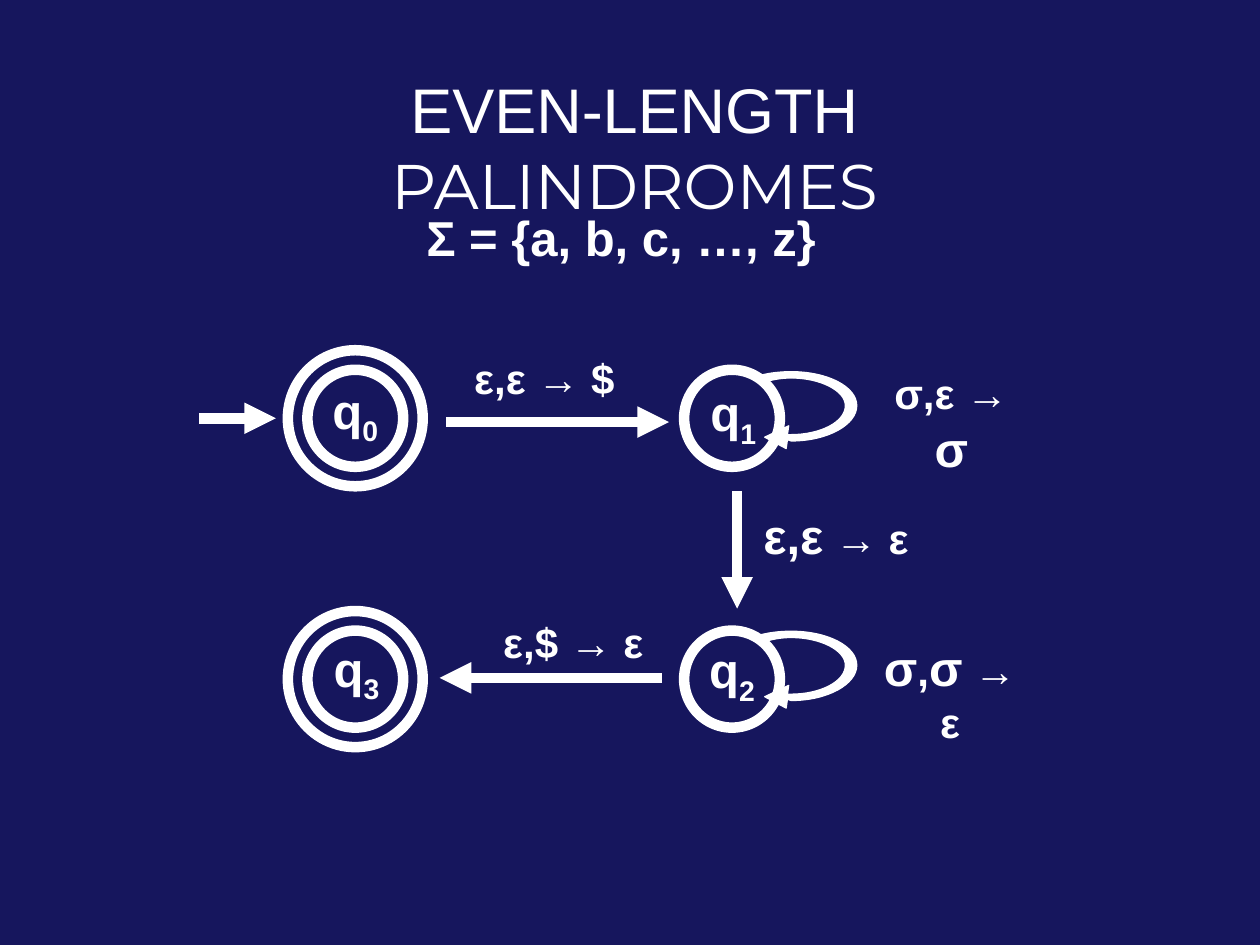
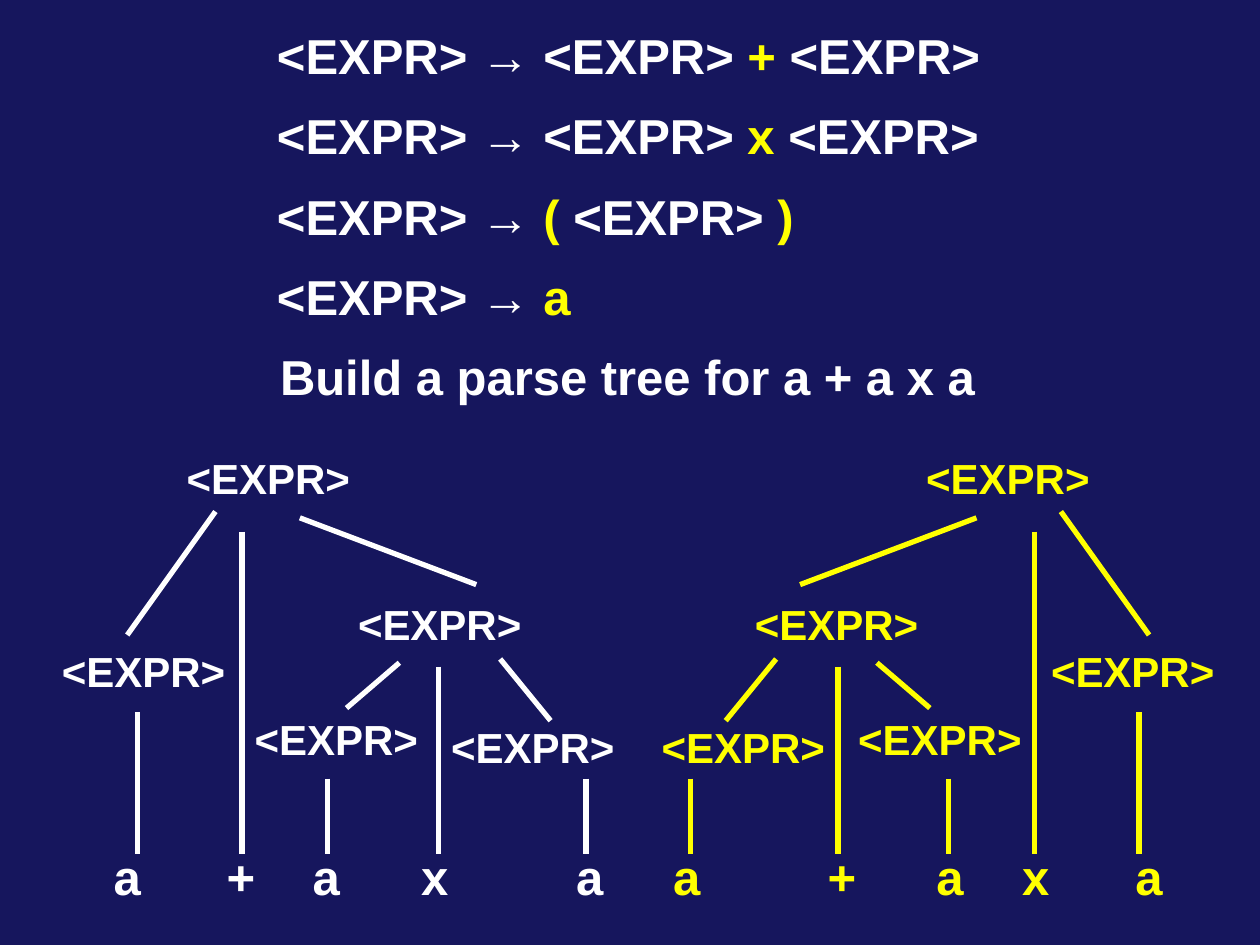
from lxml.etree import SubElement
from pptx import Presentation
from pptx.dml.color import RGBColor
from pptx.enum.shapes import MSO_CONNECTOR, MSO_SHAPE
from pptx.enum.text import MSO_AUTO_SIZE, PP_ALIGN
from pptx.oxml.ns import qn
from pptx.util import Inches, Pt

NAVY = RGBColor(0x16, 0x16, 0x5D)
WHITE = RGBColor(0xFF, 0xFF, 0xFF)
YELLOW = RGBColor(0xFF, 0xFF, 0x00)
FONT = "Arial"
TITLE_FONT = "Montserrat"

LOOP_POINTS = [
    (-0.03, 0.23),
    (-0.02, 0.23), (-0.01, 0.23), (0, 0.23),
    (0.23, 0.23), (0.43, 0.13), (0.43, 0),
    (0.43, -0.12), (0.23, -0.22), (0, -0.22),
    (-0.07, -0.22), (-0.14, -0.21), (-0.2, -0.19),
    (-0.25, -0.24),
    (-0.17, -0.26), (-0.09, -0.27), (0, -0.27),
    (0.29, -0.27), (0.52, -0.15), (0.52, 0),
    (0.52, 0.15), (0.29, 0.28), (0, 0.28),
    (-0.01, 0.28), (-0.02, 0.28), (-0.03, 0.27),
    (-0.04, 0.34), (-0.21, 0.25), (-0.02, 0.16),
]
LOOP_CURVE_STARTS = [0, 3, 6, 9, 13, 16, 19, 22]

TREE_WIDTH = 4.58
TREE_NODES = [(1.73, 0), (0.74, 1.53), (3.09, 1.16), (2.27, 2.07), (3.83, 2.14)]
TREE_LEAVES = [0.61, 1.51, 2.19, 3.05, 4.28]
LEAF_TOP = 3.13
BRANCH_END = 3.24
TREE_BRANCHES = [
    (1.31, 0.52, 0.61, 1.5),
    (1.98, 0.57, 3.38, 1.1),
    (2.77, 1.72, 2.35, 2.08),
    (3.57, 1.69, 3.97, 2.18),
]
TREE_STEMS = [(0.69, 2.11), (1.52, 0.68), (2.2, 2.64), (3.08, 1.75), (4.25, 2.64)]


def add_page(deck):
    page = deck.slides.add_slide(deck.slide_layouts[6])
    page.background.fill.solid()
    page.background.fill.fore_color.rgb = NAVY
    return page


def add_text(shapes, left, top, width, spans, size=28, color=WHITE,
             align=PP_ALIGN.CENTER, bold=True):
    height = size / 50
    box = shapes.add_textbox(Inches(left), Inches(top), Inches(width), Inches(height))
    frame = box.text_frame
    frame.word_wrap = False
    frame.auto_size = MSO_AUTO_SIZE.SHAPE_TO_FIT_TEXT
    para = frame.paragraphs[0]
    para.alignment = align
    para.font.name = FONT
    para.font.size = Pt(size)
    para.font.bold = bold
    para.font.color.rgb = color
    for text, changes in spans:
        span = para.add_run()
        span.text = text
        if "size" in changes:
            span.font.size = Pt(changes["size"])
        if "color" in changes:
            span.font.color.rgb = changes["color"]
        if "font" in changes:
            span.font.name = changes["font"]
        if "baseline" in changes:
            span._r.get_or_add_rPr().set("baseline", changes["baseline"])


def add_line(shapes, x1, y1, x2, y2, color=WHITE, weight=3, arrow=False):
    line = shapes.add_connector(
        MSO_CONNECTOR.STRAIGHT, Inches(x1), Inches(y1), Inches(x2), Inches(y2))
    line.line.color.rgb = color
    line.line.width = Pt(weight)
    if arrow:
        SubElement(line.line._get_or_add_ln(), qn("a:tailEnd"), type="triangle")
    SubElement(line._element.spPr, qn("a:effectLst"))


def add_ring(shapes, x, y, width):
    height = width + 0.01
    ring = shapes.add_shape(
        MSO_SHAPE.OVAL, Inches(x - width / 2), Inches(y - height / 2),
        Inches(width), Inches(height))
    ring.shadow.inherit = False
    ring.fill.background()
    ring.line.color.rgb = WHITE
    ring.line.width = Pt(6)


def add_state(page, x, y, final):
    shapes = page.shapes.add_group_shape().shapes if final else page.shapes
    add_ring(shapes, x, y, 0.76)
    if final:
        add_ring(shapes, x, y, 1.07)


def add_loop(page, x, y):
    points = [(Inches(x + dx), Inches(y + dy)) for dx, dy in LOOP_POINTS]
    builder = page.shapes.build_freeform(*points[0], scale=1.0)
    builder.add_line_segments(points[1:], close=True)
    loop = builder.convert_to_shape()
    loop.shadow.inherit = False
    loop.fill.solid()
    loop.fill.fore_color.rgb = WHITE
    loop.line.color.rgb = WHITE
    loop.line.width = Pt(0.75)
    outline = loop._element.find(".//" + qn("a:path"))
    segments = outline.findall(qn("a:lnTo"))
    for start in LOOP_CURVE_STARTS:
        curve = outline.makeelement(qn("a:cubicBezTo"))
        segments[start].addprevious(curve)
        for segment in segments[start:start + 3]:
            curve.append(segment[0])
            outline.remove(segment)


def add_automaton(page, left, top):
    right = left + 2.99
    bottom = top + 2.07
    for x, y, final, number, label_left, label_top in [
        (left, top, True, "0", -0.28, -0.35),
        (right, top, False, "1", -0.27, -0.33),
        (right, bottom, False, "2", -0.28, -0.36),
        (left, bottom, True, "3", -0.27, -0.37),
    ]:
        add_state(page, x, y, final)
        add_text(page.shapes, x + label_left, y + label_top, 0.56,
                 [("q", {}), (number, {"baseline": "-25000"})])
    add_loop(page, right + 0.47, top - 0.1)
    add_loop(page, right + 0.47, bottom - 0.11)
    for x1, y1, x2, y2 in [
        (left - 1.24, top, left - 0.63, top),
        (left + 0.72, top + 0.03, left + 2.49, top + 0.03),
        (right + 0.04, top + 0.58, right + 0.04, top + 1.51),
        (left + 2.43, bottom - 0.01, left + 0.67, bottom - 0.01),
    ]:
        add_line(page.shapes, x1, y1, x2, y2, weight=6, arrow=True)

    large = {"size": 28}
    add_text(page.shapes, left + 0.84, top - 0.57, 1.32, [("ε,ε → $", {})], 24)
    add_text(page.shapes, left + 1.07, bottom - 0.55, 1.32, [("ε,$ → ε", {})], 24)
    add_text(page.shapes, right + 0.15, top + 0.64, 1.35,
             [("ε,ε", large), (" → ε", {})], 24)
    add_text(page.shapes, right + 1.09, top - 0.45, 1.3,
             [("σ,ε → ", {}), ("σ", large)], 24)
    add_text(page.shapes, right + 1.08, bottom - 0.38, 1.3,
             [("σ", large), (",", {}), ("σ", large), (" → ε", {})], 24)


def add_palindrome_page(deck):
    page = add_page(deck)
    add_text(page.shapes, 1.34, 0.51, 7.39,
             [("EVEN-LENGTH", {}), (" PALINDROMES", {"font": TITLE_FONT})],
             36, bold=False)
    add_text(page.shapes, 3.28, 1.6, 3.3, [("Σ = {a, b, c, …, z}", {})])
    add_automaton(page, 2.82, 3.32)


def add_grammar(page, left, top):
    terminal = {"color": YELLOW}
    rules = [
        (5.8, [("<EXPR> ", {}), ("+", terminal), (" <EXPR>", {})]),
        (5.8, [("<EXPR> ", {}), ("x", terminal), (" <EXPR>", {})]),
        (4.3, [("(", terminal), (" <EXPR> ", {}), (")", terminal)]),
        (2.53, [("a", terminal)]),
    ]
    for row, (width, body) in enumerate(rules):
        add_text(page.shapes, left, top + row * 0.64, width,
                 [("<EXPR> → ", {})] + body, align=PP_ALIGN.LEFT)


def add_parse_tree(page, left, top, color, leaves, mirrored=False):
    shapes = page.shapes.add_group_shape().shapes

    def place(x):
        return left + (TREE_WIDTH - x if mirrored else x)

    for x, y in TREE_NODES:
        add_text(shapes, place(x) - 0.77, top + y, 1.54, [("<EXPR>", {})], 24, color)
    for x, leaf in zip(TREE_LEAVES, leaves):
        add_text(shapes, place(x) - 0.21, top + LEAF_TOP, 0.42, [(leaf, {})], color=color)
    stems = [(x, y, x, BRANCH_END) for x, y in TREE_STEMS]
    for x1, y1, x2, y2 in TREE_BRANCHES + stems:
        add_line(shapes, place(x1), top + y1, place(x2), top + y2, color)


def add_parse_tree_page(deck):
    page = add_page(deck)
    add_grammar(page, 2.1, 0.15)
    add_text(page.shapes, 2.08, 2.7, 5.8, [("Build a parse tree for a + a x a", {})])
    add_parse_tree(page, 0.4, 3.54, WHITE, "a+axa")
    add_parse_tree(page, 5.15, 3.54, YELLOW, "axa+a", mirrored=True)


def main():
    deck = Presentation()
    deck.slide_width = Inches(10)
    deck.slide_height = Inches(7.5)
    add_palindrome_page(deck)
    add_parse_tree_page(deck)
    deck.save("out.pptx")


if __name__ == "__main__":
    main()
